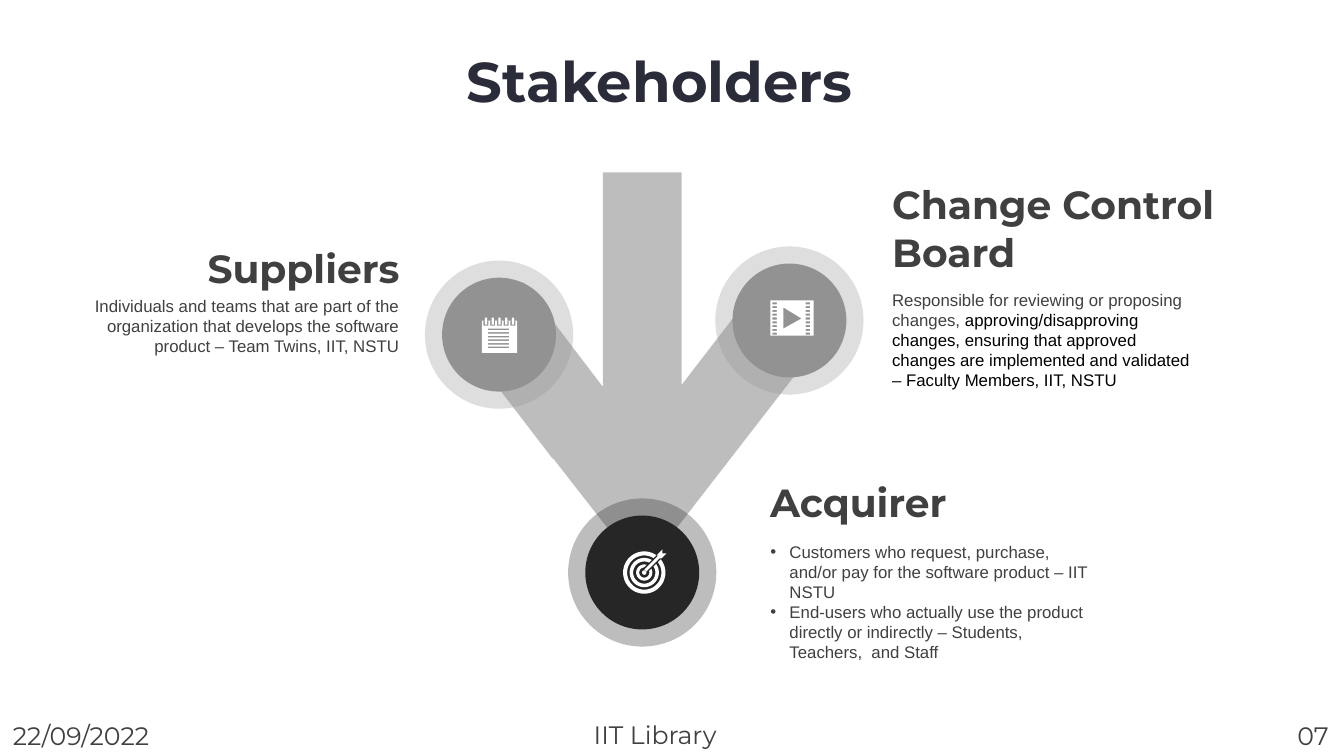
"""Build the Stakeholders slide with its three-way junction diagram."""
import dataclasses
import math
import typing

import lxml.etree
import pptx
import pptx.dml.color
import pptx.enum.shapes
import pptx.enum.text
import pptx.oxml.ns
import pptx.util

Inches = pptx.util.Inches
ALIGN = pptx.enum.text.PP_ALIGN
ANCHOR = pptx.enum.text.MSO_ANCHOR
COLOURS = {"dark": "262626", "grey": "929292", "text": "404040",
           "title": "2B2C3A", "black": "000000", "white": "FFFFFF"}
HEADING_FONT, BODY_FONT = "Montserrat", "Arial"
Point = tuple[float, float]
Contour = list[Point]


@dataclasses.dataclass(frozen=True)
class Span:
    """A run of text with its formatting."""
    text: str
    size: int = 12
    font: str = BODY_FONT
    colour: str = "text"
    bold: bool = False


@dataclasses.dataclass(frozen=True)
class Label:
    """A text block with its frame and paragraphs."""
    frame: tuple[float, float, float, float]
    paras: list[list[Span]]
    align: typing.Any = ALIGN.LEFT
    anchor: typing.Any = ANCHOR.TOP
    bullet: bool = False
    spacing: float = 1.0


@dataclasses.dataclass(frozen=True)
class Node:
    """A disc with a translucent halo."""
    x: float
    y: float
    colour: str


def heading(text: str) -> list[list[Span]]:
    """Return the paragraphs of a stakeholder heading."""
    return [[Span(text, 28, HEADING_FONT, bold=True)]]


def footer(text: str) -> list[list[Span]]:
    """Return the paragraphs of a footer item."""
    return [[Span(text, 18, HEADING_FONT)]]


TITLE = Label((4.53, 0.49, 4.28, 0.63),
              [[Span("Stakeholders", 40, HEADING_FONT, "title", True)]], spacing=0.9)
ACQUIRER_LIST = Label((7.54, 5.32, 3.42, 1.31), [
    [Span("Customers who request, purchase, and/or pay for the software product – IIT NSTU")],
    [Span("End-users who actually use the product directly or indirectly – Students, "
          "Teachers,  and Staff")]], bullet=True)
LABELS = [
    Label((7.54, 4.69, 3.2, 0.57), heading("Acquirer"), anchor=ANCHOR.MIDDLE),
    Label((8.75, 1.74, 4.09, 1.04), heading("Change Control Board"), anchor=ANCHOR.MIDDLE),
    Label((8.75, 2.82, 3.23, 1.11), [[
        Span("Responsible for reviewing or proposing changes,"),
        Span(" approving/disapproving changes, ensuring that approved changes are "
             "implemented and validated – Faculty Members, IIT, NSTU", colour="black")]]),
    Label((0.79, 2.37, 3.27, 0.57), heading("Suppliers"), ALIGN.RIGHT, ANCHOR.MIDDLE),
    Label((0.8, 2.88, 3.26, 0.71), [
        [Span("Individuals and teams that are part of the")],
        [Span("organization that develops the software product – Team Twins, IIT, NSTU")]],
        ALIGN.RIGHT),
    Label((12.77, 7.1, 0.56, 0.4), footer("07")),
    Label((0.03, 7.1, 1.75, 0.4), footer("22/09/2022")),
    Label((5.79, 7.09, 1.75, 0.4), footer("IIT Library")),
]
NODES = [Node(6.37, 5.68, "dark"), Node(4.95, 3.32, "grey"), Node(7.83, 3.18, "grey")]
HALO_SIZE, DISC_SIZE = 1.47, 1.13
JUNCTION = [(6.37, 5.68), (8.22, 3.29), (7.56, 2.78), (6.76, 3.82), (6.76, 1.71),
            (5.98, 1.71), (5.98, 3.84), (5.19, 2.8), (4.53, 3.31), (5.48, 4.55), (5.48, 4.54)]
DART_GAP = [(6.38, 5.64), (6.56, 5.46), (6.6, 5.5), (6.42, 5.68)]
DART = [(6.57, 5.45), (6.57, 5.49), (6.61, 5.49), (6.56, 5.54), (6.54, 5.54),
        (6.41, 5.67), (6.39, 5.65), (6.52, 5.52), (6.52, 5.5)]


def rectangle(left: float, top: float, width: float, height: float) -> Contour:
    """Return the corners of a rectangle."""
    right, bottom = left + width, top + height
    return [(left, top), (right, top), (right, bottom), (left, bottom)]


def circle(x: float, y: float, radius: float, sides: int = 48) -> Contour:
    """Return the points of a circle."""
    angles = [2 * math.pi * step / sides for step in range(sides)]
    return [(x + radius * math.cos(a), y + radius * math.sin(a)) for a in angles]


def notepad() -> list[Contour]:
    """Return the outlines of the notepad icon."""
    outlines = [rectangle(4.78, 3.18, 0.35, 0.32)]
    outlines += [rectangle(4.84, 3.26 + 0.036 * row, 0.21, 0.015) for row in range(6)]
    for ring in range(5):
        x = 4.82 + 0.067 * ring
        outlines += [rectangle(x - 0.025, 3.18, 0.05, 0.05),
                     rectangle(x - 0.012, 3.15, 0.024, 0.07)]
    return outlines


def film() -> list[Contour]:
    """Return the outlines of the film icon."""
    holes = [rectangle(left, 3 + 0.0375 * row, 0.045, 0.02)
             for left in (7.66, 7.99) for row in range(9)]
    return [rectangle(7.64, 2.98, 0.43, 0.35), [(7.77, 3.05), (7.77, 3.26), (7.95, 3.16)], *holes]


def target() -> list[Contour]:
    """Return the rings of the target icon."""
    return [circle(6.39, 5.68, radius) for radius in (0.21, 0.17, 0.145, 0.11, 0.08, 0.05, 0.022)]


def rgb(name: str) -> pptx.dml.color.RGBColor:
    """Return a named colour."""
    return pptx.dml.color.RGBColor.from_string(COLOURS[name])


def paint(shape: typing.Any, colour: str, opacity: int = 100) -> None:
    """Fill a shape without line or shadow."""
    shape.shadow.inherit = False
    shape.fill.solid()
    shape.fill.fore_color.rgb = rgb(colour)
    shape.line.fill.background()
    if opacity < 100:
        for node in shape.element.xpath("./p:spPr/a:solidFill/a:srgbClr"):
            alpha = lxml.etree.SubElement(node, pptx.oxml.ns.qn("a:alpha"))
            alpha.set("val", str(opacity * 1000))


def draw_outlines(page: typing.Any, outlines: list[Contour], colour: str,
                  opacity: int = 100) -> None:
    """Draw closed outlines as one freeform."""
    emu = [[(Inches(x), Inches(y)) for x, y in outline] for outline in outlines]
    builder = page.shapes.build_freeform(*emu[0][0])
    builder.add_line_segments(emu[0][1:], close=True)
    for outline in emu[1:]:
        builder.move_to(*outline[0])
        builder.add_line_segments(outline[1:], close=True)
    paint(builder.convert_to_shape(), colour, opacity)


def draw_disc(page: typing.Any, node: Node, size: float, opacity: int = 100) -> None:
    """Draw one circle centred on a node."""
    disc = page.shapes.add_shape(
        pptx.enum.shapes.MSO_SHAPE.OVAL, Inches(node.x - size / 2), Inches(node.y - size / 2),
        Inches(size), Inches(size))
    paint(disc, node.colour, opacity)


def write_label(box: typing.Any, label: Label) -> None:
    """Place a text shape and write its paragraphs."""
    box.left, box.top, box.width, box.height = map(Inches, label.frame)
    frame = box.text_frame
    frame.word_wrap = True
    frame.auto_size = pptx.enum.text.MSO_AUTO_SIZE.NONE
    frame.vertical_anchor = label.anchor
    for index, spans in enumerate(label.paras):
        para = frame.add_paragraph() if index else frame.paragraphs[0]
        if label.bullet:
            settings = para._p.get_or_add_pPr()
            settings.set("marL", str(Inches(0.19)))
            settings.set("indent", str(-Inches(0.19)))
            for tag, key, value in (("a:buFont", "typeface", BODY_FONT), ("a:buChar", "char", "•")):
                lxml.etree.SubElement(settings, pptx.oxml.ns.qn(tag)).set(key, value)
        para.alignment = label.align
        para.line_spacing = label.spacing
        para.space_before = pptx.util.Pt(0)
        for item in spans:
            span = para.add_run()
            span.text = item.text
            span.font.name = item.font
            span.font.size = pptx.util.Pt(item.size)
            span.font.bold = item.bold
            span.font.color.rgb = rgb(item.colour)


def main() -> None:
    """Build and save the deck."""
    deck = pptx.Presentation()
    deck.slide_width, deck.slide_height = Inches(13.33), Inches(7.5)
    page = deck.slides.add_slide(deck.slide_layouts[1])
    write_label(page.shapes.title, TITLE)
    write_label(page.placeholders[1], ACQUIRER_LIST)
    draw_outlines(page, [JUNCTION], "dark", 30)
    for size, opacity in ((HALO_SIZE, 30), (DISC_SIZE, 100)):
        for node in NODES:
            draw_disc(page, node, size, opacity)
    for outlines, colour in ((notepad(), "white"), (film(), "white"), (target(), "white"),
                             ([DART_GAP], "dark"), ([DART], "white")):
        draw_outlines(page, outlines, colour)
    for label in LABELS:
        write_label(page.shapes.add_textbox(*map(Inches, label.frame)), label)
    deck.save("out.pptx")


if __name__ == "__main__":
    main()
